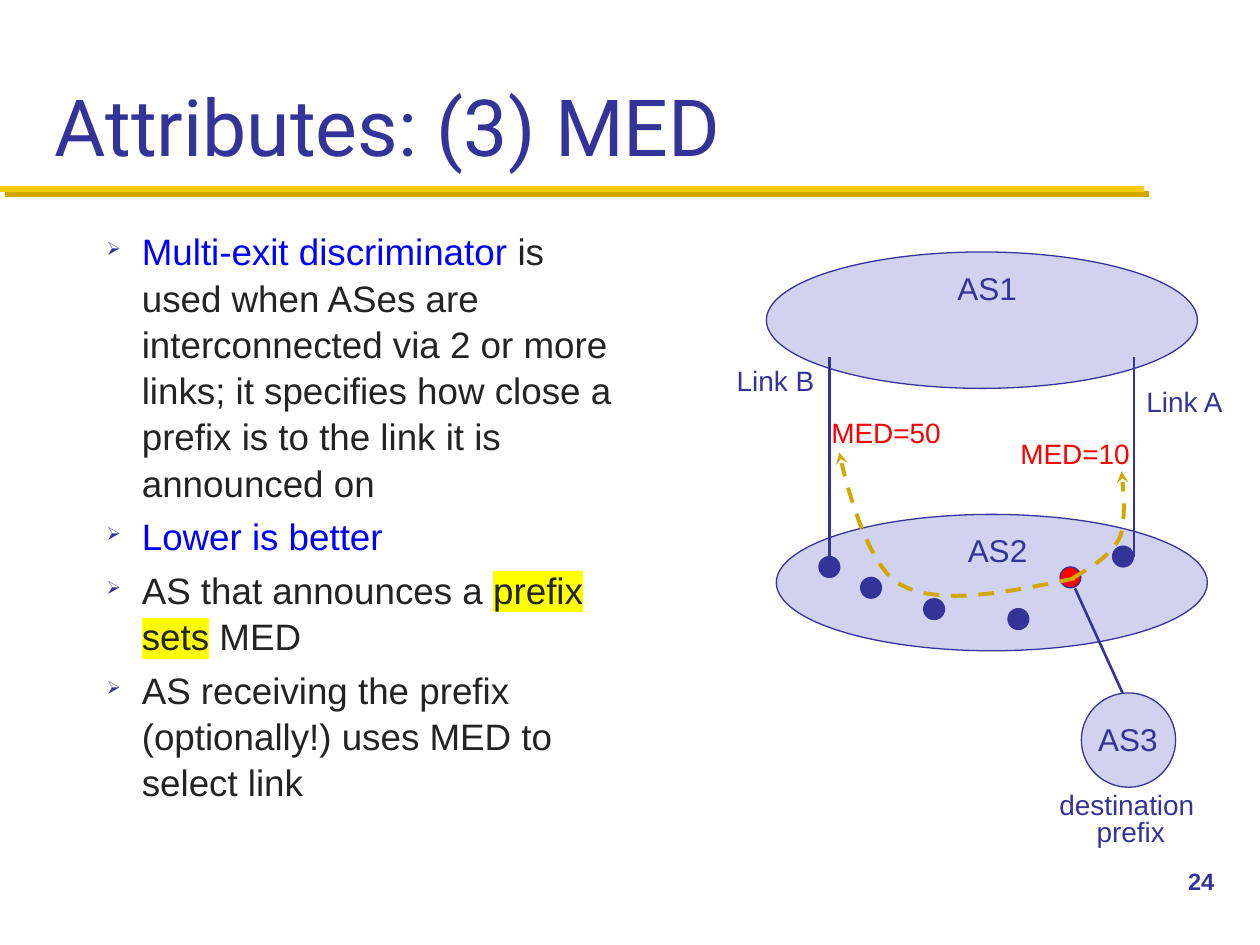
from lxml.etree import SubElement
from pptx import Presentation
from pptx.dml.color import RGBColor
from pptx.enum.dml import MSO_LINE_DASH_STYLE as Dash
from pptx.enum.shapes import MSO_CONNECTOR as Connector, MSO_SHAPE as Shape
from pptx.enum.text import MSO_ANCHOR as Anchor, PP_ALIGN as Align
from pptx.oxml.ns import qn
from pptx.util import Cm, Pt

NAVY, BLUE, INK, RED = "333399", "0000FF", "232323", "FF0000"
LILAC, GOLD, DARK_GOLD, YELLOW = "D1D1F0", "FFCB05", "D3A600", "FFFF00"


def rgb(value):
    return RGBColor.from_string(value)


def bezier(start, c1, c2, end, steps=16):
    """Points along a cubic curve, without its start."""
    for step in range(1, steps + 1):
        t = step / steps
        u = 1 - t
        yield tuple(u**3 * a + 3 * u * u * t * b + 3 * u * t * t * c + t**3 * d
                    for a, b, c, d in zip(start, c1, c2, end))


class SlideBuilder:
    font = "Arial"

    def __init__(self, slide):
        self.slide = slide
        self.shapes = slide.shapes

    def text_frame(self, box, wrap=True):
        frame = self.shapes.add_textbox(*map(Cm, box)).text_frame
        frame.word_wrap = wrap
        return frame

    def text(self, words, box, size, color=NAVY, wrap=False, name=None, bold=False):
        frame = self.text_frame(box, wrap)
        paragraph = frame.paragraphs[0]
        paragraph.text = words
        font = paragraph.font
        font.name, font.size, font.bold = name or self.font, Pt(size), bold
        font.color.rgb = rgb(color)
        return frame

    def bullets(self, items, box, size):
        frame = self.text_frame(box)
        for index, runs in enumerate(items):
            paragraph = frame.add_paragraph() if index else frame.paragraphs[0]
            paragraph.font.name, paragraph.font.size = self.font, Pt(size)
            paragraph.space_before = Pt(size * 0.2)
            paragraph.line_spacing = 1.05
            self.bullet_mark(paragraph)
            for words, color, highlight in runs:
                run = paragraph.add_run()
                run.text = words
                run.font.color.rgb = rgb(color)
                if highlight:
                    mark = SubElement(run.font._element, qn("a:highlight"))
                    SubElement(mark, qn("a:srgbClr"), val=highlight)

    def bullet_mark(self, paragraph):
        props = paragraph._p.get_or_add_pPr()
        indent = Cm(0.71)
        props.set("marL", str(indent))
        props.set("indent", str(-indent))
        marks = [SubElement(props, qn(tag)) for tag in ("a:buClr", "a:buSzPct", "a:buChar")]
        SubElement(marks[0], qn("a:srgbClr"), val=NAVY)
        marks[1].set("val", "50000")
        marks[2].set("char", "➢")
        # The default run properties come after the bullet
        defaults = props.find(qn("a:defRPr"))
        if defaults is not None:
            props.append(defaults)

    def ellipse(self, left, top, width, height, fill):
        oval = self.shapes.add_shape(Shape.OVAL, Cm(left), Cm(top), Cm(width), Cm(height))
        oval.shadow.inherit = False
        oval.fill.solid()
        oval.fill.fore_color.rgb = rgb(fill)
        oval.line.color.rgb = rgb(NAVY)
        oval.line.width = Pt(0.75)

    def line(self, x1, y1, x2, y2, color=NAVY, width=1.5, shadow=None):
        link = self.shapes.add_connector(Connector.STRAIGHT, Cm(x1), Cm(y1), Cm(x2), Cm(y2))
        link.line.color.rgb = rgb(color)
        link.line.width = Pt(width)
        effects = SubElement(link._element.spPr, qn("a:effectLst"))
        if shadow:
            outer = SubElement(effects, qn("a:outerShdw"), dist=str(Pt(4.2)),
                               dir="2700000", algn="ctr", rotWithShape="0")
            SubElement(outer, qn("a:srgbClr"), val=shadow)

    def dashed_arrow(self, start, *curves):
        points = [start]
        for curve in curves:
            points.extend(bezier(points[-1], *curve))
        points = [(Cm(x), Cm(y)) for x, y in points]
        builder = self.shapes.build_freeform(*points[0])
        builder.add_line_segments(points[1:], close=False)
        route = builder.convert_to_shape()
        route.shadow.inherit = False
        route.fill.background()
        route.line.color.rgb = rgb(DARK_GOLD)
        route.line.width = Pt(2.25)
        route.line.dash_style = Dash.DASH
        SubElement(route.line._get_or_add_ln(), qn("a:tailEnd"), type="stealth")


def main():
    deck = Presentation()
    deck.slide_width, deck.slide_height = Cm(25.4), Cm(19.05)
    page = SlideBuilder(deck.slides.add_slide(deck.slide_layouts[6]))

    # Heading, rule and page number
    page.line(0, 3.81, 23.06, 3.81, GOLD, 3.5, shadow=DARK_GOLD)
    heading = page.text("Attributes: (3) MED", (0.85, 0.42, 23.7, 3.18), 45,
                        wrap=True, name="Roboto")
    heading.vertical_anchor = Anchor.BOTTOM
    page.text("24", (23.7, 17.35, 1.7, 1.27), 13.5, wrap=True, bold=True)

    # Explanation
    page.bullets([
        [("Multi-exit discriminator ", BLUE, None),
         ("is used when ASes are interconnected via 2 or more links; "
          "it specifies how close a prefix is to the link it is announced on", INK, None)],
        [("Lower is better", BLUE, None)],
        [("AS that announces a ", INK, None), ("prefix sets", INK, YELLOW),
         (" MED", INK, None)],
        [("AS receiving the prefix (optionally!) uses MED to select link", INK, None)],
    ], (1.9, 4.45, 10.8, 12.27), 21)

    # Large networks and the two links between them
    for left, top in ((15.45, 5.08), (15.65, 10.37)):
        page.ellipse(left, top, 8.69, 2.75, LILAC)
    for link_x in (16.72, 22.86):
        page.line(link_x, 7.2, link_x, 11.22)

    # Routers
    for left, top, fill in ((16.51, 11.22, NAVY), (17.35, 11.64, NAVY),
                            (20.32, 12.27, NAVY), (21.37, 11.43, RED),
                            (22.43, 11.01, NAVY), (18.62, 12.07, NAVY)):
        page.ellipse(left, top, 0.42, 0.42, fill)

    # Destination network
    page.ellipse(21.8, 13.97, 1.9, 1.9, LILAC)
    page.line(21.67, 11.86, 22.63, 13.97)

    # Labels
    for words, left, top, width, color in (
            ("Link B", 14.6, 7.2, 2.08, NAVY), ("Link A", 22.86, 7.62, 2.13, NAVY),
            ("MED=10", 20.32, 8.68, 2.75, RED), ("MED=50", 16.51, 8.25, 2.75, RED)):
        page.text(words, (left, top, width, 0.94), 16, color)
    for words, left, top in (("AS1", 19.05, 5.29), ("AS2", 19.26, 10.58),
                             ("AS3", 21.89, 14.4)):
        page.text(words, (left, top, 1.73, 1.02), 18)
    destination = page.text("destination \vprefix", (21.08, 15.88, 3.43, 1.35), 16)
    destination.paragraphs[0].alignment = Align.CENTER
    destination.paragraphs[0].line_spacing = 0.8

    # Announcements towards each link
    page.dashed_arrow((21.67, 11.66),
                      ((20.32, 11.94), (18.95, 12.22), (18.16, 11.79)),
                      ((17.37, 11.38), (16.92, 9.12), (16.92, 9.12)))
    page.dashed_arrow((21.62, 11.66),
                      ((22, 11.43), (22.4, 11.2), (22.58, 10.82)),
                      ((22.73, 10.46), (22.61, 9.5), (22.61, 9.5)))

    deck.save("out.pptx")


if __name__ == "__main__":
    main()
